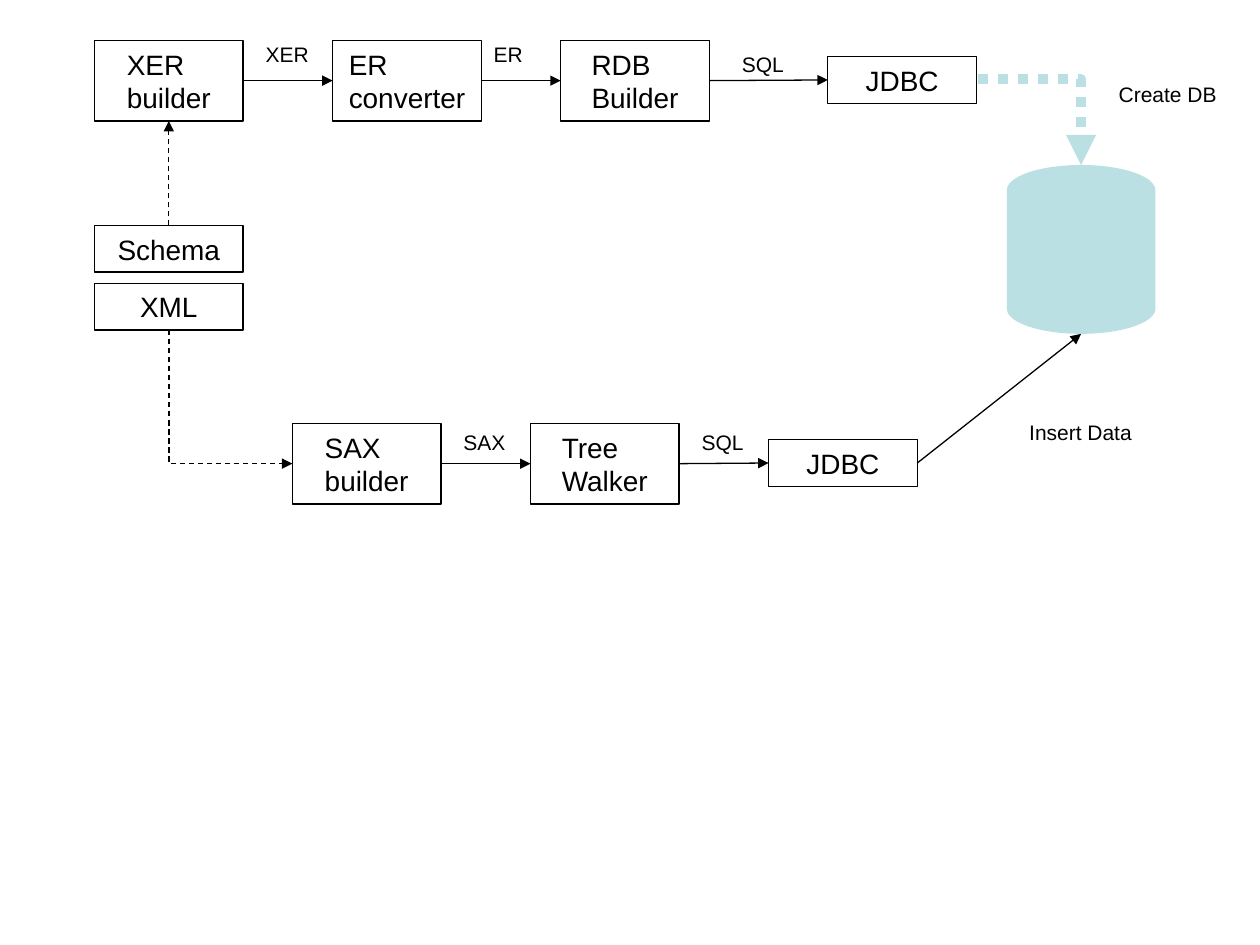
from lxml import etree
from pptx import Presentation
from pptx.dml.color import RGBColor
from pptx.enum.dml import MSO_LINE
from pptx.enum.shapes import MSO_CONNECTOR as LINK, MSO_SHAPE as SHAPE
from pptx.enum.text import MSO_ANCHOR as ANCHOR, MSO_AUTO_SIZE as FIT
from pptx.oxml.ns import qn
from pptx.util import Inches, Pt

COLORS = {"ink": "000000", "database": "BBE0E3"}
TOP, LEFT, BOTTOM, RIGHT = range(4)
BOX_WIDTH = 1.18

deck = Presentation()
deck.slide_width, deck.slide_height = Inches(10), Inches(7.5)
page = deck.slides.add_slide(deck.slide_layouts[6])


def write(box, words, size):
    frame = box.text_frame
    frame.word_wrap = True
    frame.auto_size = FIT.SHAPE_TO_FIT_TEXT
    span = frame.paragraphs[0].add_run()
    span.text = words
    span.font.name = "Arial"
    span.font.size = Pt(size)
    span.font.color.rgb = RGBColor.from_string(COLORS["ink"])
    return frame


def add_arrow(kind, start, end, color="ink", width=0.75, dash=None):
    arrow = page.shapes.add_connector(kind, *map(Inches, start + end))
    arrow.line.color.rgb = RGBColor.from_string(COLORS[color])
    arrow.line.width = Pt(width)
    if dash:
        arrow.line.dash_style = dash
    properties = arrow._element.spPr
    etree.SubElement(properties.find(qn("a:ln")), qn("a:tailEnd"), type="triangle")
    etree.SubElement(properties, qn("a:effectLst"))
    if kind == LINK.ELBOW:
        properties.find(qn("a:prstGeom")).set("prst", "bentConnector2")
    return arrow


# Database cylinder
database = page.shapes.add_group_shape()
for kind, top, height in [(SHAPE.OVAL, 1.31, 0.4), (SHAPE.OVAL, 2.25, 0.4),
                          (SHAPE.RECTANGLE, 1.52, 0.93)]:
    part = database.shapes.add_shape(kind, Inches(7.99), Inches(top),
                                     Inches(BOX_WIDTH), Inches(height))
    part.shadow.inherit = False
    part.fill.solid()
    part.fill.fore_color.rgb = RGBColor.from_string(COLORS["database"])
    part.line.fill.background()

# Process boxes: key, words, left, top, height
boxes = {}
for key, words, left, top, height in [
    ("xer", "XER builder", 0.75, 0.32, 0.64),
    ("er", "ER converter", 2.64, 0.32, 0.64),
    ("rdb", "RDB Builder", 4.45, 0.32, 0.64),
    ("create", "JDBC", 6.57, 0.45, 0.37),
    ("schema", "Schema", 0.75, 1.79, 0.37),
    ("xml", "XML", 0.75, 2.25, 0.37),
    ("sax", "SAX builder", 2.32, 3.36, 0.64),
    ("tree", "Tree Walker", 4.21, 3.36, 0.64),
    ("insert", "JDBC", 6.1, 3.49, 0.37),
]:
    box = page.shapes.add_shape(SHAPE.RECTANGLE, Inches(left), Inches(top),
                                Inches(BOX_WIDTH), Inches(height))
    box.shadow.inherit = False
    box.fill.background()
    box.line.color.rgb = RGBColor.from_string(COLORS["ink"])
    box.line.width = Pt(0.75)
    frame = write(box, words, 16)
    frame.vertical_anchor = ANCHOR.MIDDLE
    # Left-aligned lines, centred in the box as one block
    frame.paragraphs[0].alignment = 1
    frame._txBody.bodyPr.set("anchorCtr", "1")
    boxes[key] = box

# Straight arrows between boxes
for source, exit_side, target, entry_side, dash in [
    ("xer", RIGHT, "er", LEFT, None),
    ("er", RIGHT, "rdb", LEFT, None),
    ("rdb", RIGHT, "create", LEFT, None),
    ("sax", RIGHT, "tree", LEFT, None),
    ("tree", RIGHT, "insert", LEFT, None),
    ("schema", TOP, "xer", BOTTOM, MSO_LINE.DASH),
]:
    arrow = add_arrow(LINK.STRAIGHT, (0, 0), (1, 1), dash=dash)
    arrow.begin_connect(boxes[source], exit_side)
    arrow.end_connect(boxes[target], entry_side)

# Arrows into the database
add_arrow(LINK.ELBOW, (7.76, 0.63), (8.58, 1.31), "database", 5.75,
          MSO_LINE.ROUND_DOT)
arrow = add_arrow(LINK.STRAIGHT, (7.28, 3.68), (8.58, 2.65))
arrow.begin_connect(boxes["insert"], RIGHT)

# XML down and across to the SAX builder: a mirrored elbow turned by 270 degrees
elbow = add_arrow(LINK.ELBOW, (2.36, 2.66), (1.3, 3.64), dash=MSO_LINE.DASH)
elbow._element.spPr.find(qn("a:xfrm")).set("rot", str(270 * 60000))

# Labels
for words, left, top, width in [
    ("XER", 2.01, 0.28, 0.55),
    ("ER", 3.82, 0.28, 0.55),
    ("SQL", 5.79, 0.36, 0.55),
    ("SAX", 3.58, 3.36, 0.55),
    ("SQL", 5.47, 3.36, 0.55),
    ("Create DB", 8.78, 0.6, 1.02),
    ("Insert Data", 8.07, 3.28, 1.02),
]:
    label = page.shapes.add_textbox(Inches(left), Inches(top), Inches(width), Inches(0.3))
    write(label, words, 12)

deck.save("out.pptx")
